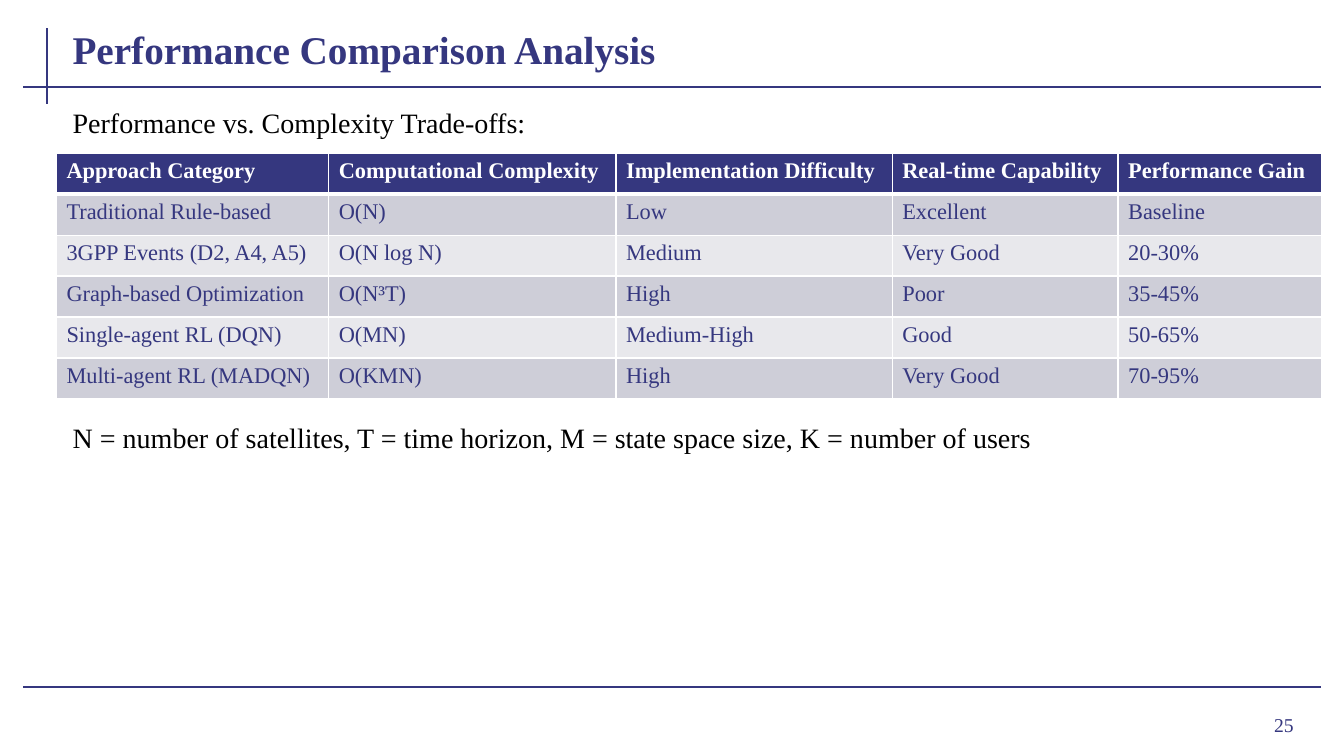
import pptx
import pptx.dml.color
import pptx.enum.shapes
import pptx.enum.text
import pptx.oxml
import pptx.oxml.ns
import pptx.util
from pptx.util import Inches

NAVY, WHITE, BLACK = "35377F", "FFFFFF", "000000"
BANDS = ["CECED8", "E8E8EC"]
FONT = "Times New Roman"


def color(value):
    return pptx.dml.color.RGBColor.from_string(value)


def style(p, size, value, bold=False):
    for r in p.runs:
        r.font.name = FONT
        r.font.size = pptx.util.Pt(size)
        r.font.bold = bold
        r.font.color.rgb = color(value)


prs = pptx.Presentation()
prs.slide_width, prs.slide_height = Inches(13.33), Inches(7.5)
s = prs.slides.add_slide(prs.slide_layouts[1])

# Frame lines
for x1, y1, x2, y2 in [(0.47, 0.28, 0.47, 1.03),
                       (0.23, 0.86, 13.1, 0.86),
                       (0.23, 6.82, 13.1, 6.82)]:
    line = s.shapes.add_connector(pptx.enum.shapes.MSO_CONNECTOR.STRAIGHT,
                                  Inches(x1), Inches(y1), Inches(x2), Inches(y2))
    line.line.color.rgb = color(NAVY)
    line.line.width = pptx.util.Pt(1.5)
    line._element.spPr.append(pptx.oxml.parse_xml(
        f'<a:effectLst {pptx.oxml.ns.nsdecls("a")}/>'))

# Title
title = s.shapes.title
title.left, title.top, title.width, title.height = map(Inches, (0.62, 0.15, 12.49, 0.62))
tf = title.text_frame
tf.text = "Performance Comparison Analysis"
tf.auto_size = pptx.enum.text.MSO_AUTO_SIZE.NONE
tf.vertical_anchor = pptx.enum.text.MSO_ANCHOR.BOTTOM
tf.paragraphs[0].alignment = pptx.enum.text.PP_ALIGN.LEFT
style(tf.paragraphs[0], 28, NAVY, bold=True)

# Body text above and below the table
body = s.placeholders[1]
body.left, body.top, body.width, body.height = map(Inches, (0.62, 1, 12.49, 5.68))
tf = body.text_frame
tf.text = ("Performance vs. Complexity Trade-offs:\n"
           "N = number of satellites, T = time horizon, M = state space size, K = number of users")
tf.auto_size = pptx.enum.text.MSO_AUTO_SIZE.NONE
for p, space in zip(tf.paragraphs, (0, 201)):
    pPr = p._p.get_or_add_pPr()
    pPr.set("marL", "0")
    pPr.set("indent", "0")
    pPr.append(pptx.oxml.parse_xml(f'<a:buNone {pptx.oxml.ns.nsdecls("a")}/>'))
    p.space_before = pptx.util.Pt(space)
    style(p, 20, BLACK)

# Comparison table
rows = [
    ["Approach Category", "Computational Complexity", "Implementation Difficulty",
     "Real-time Capability", "Performance Gain"],
    ["Traditional Rule-based", "O(N)", "Low", "Excellent", "Baseline"],
    ["3GPP Events (D2, A4, A5)", "O(N log N)", "Medium", "Very Good", "20-30%"],
    ["Graph-based Optimization", "O(N³T)", "High", "Poor", "35-45%"],
    ["Single-agent RL (DQN)", "O(MN)", "Medium-High", "Good", "50-65%"],
    ["Multi-agent RL (MADQN)", "O(KMN)", "High", "Very Good", "70-95%"],
]
widths = [2.7, 2.85, 2.74, 2.24, 2.02]
table = s.shapes.add_table(len(rows), len(widths), Inches(0.56), Inches(1.52),
                           Inches(sum(widths)), Inches(2.44)).table
for column, width in zip(table.columns, widths):
    column.width = Inches(width)

for i, row in enumerate(rows):
    header = i == 0
    for j, text in enumerate(row):
        cell = table.cell(i, j)
        cell.text = text
        style(cell.text_frame.paragraphs[0], 16, WHITE if header else NAVY, bold=header)
        # White grid with a thicker rule under the header
        borders = {"L": 1, "R": 1, "T": 3 if i == 1 else 1, "B": 3 if header else 1}
        tcPr = cell._tc.get_or_add_tcPr()
        for side, width in borders.items():
            tcPr.append(pptx.oxml.parse_xml(
                f'<a:ln{side} {pptx.oxml.ns.nsdecls("a")} w="{pptx.util.Pt(width)}">'
                f'<a:solidFill><a:srgbClr val="{WHITE}"/></a:solidFill></a:ln{side}>'))
        cell.fill.solid()
        cell.fill.fore_color.rgb = color(NAVY if header else BANDS[(i - 1) % 2])

# Page number
sp = s.shapes.add_textbox(Inches(11.96), Inches(6.93), Inches(0.97), Inches(0.52))
tf = sp.text_frame
tf.word_wrap = True
tf.text = "25"
tf.vertical_anchor = pptx.enum.text.MSO_ANCHOR.MIDDLE
tf.paragraphs[0].alignment = pptx.enum.text.PP_ALIGN.RIGHT
style(tf.paragraphs[0], 14, NAVY)

prs.save("out.pptx")
